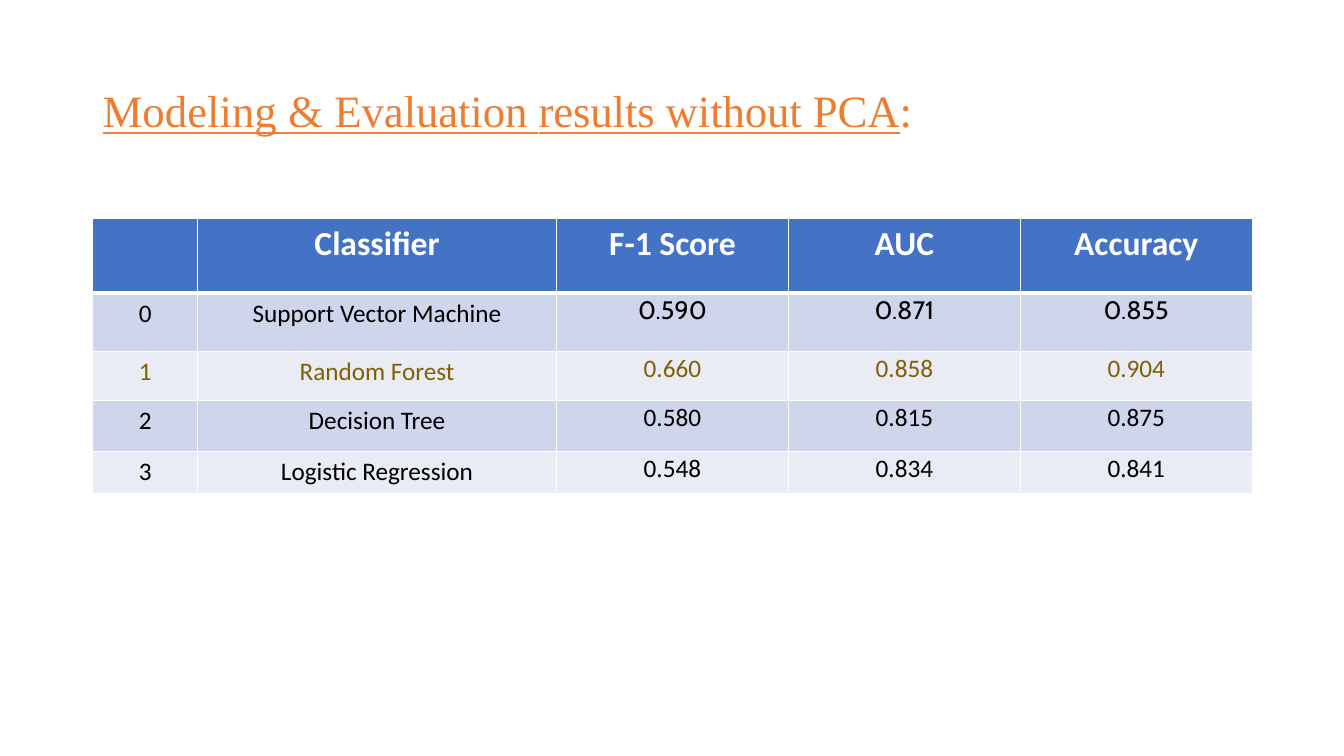
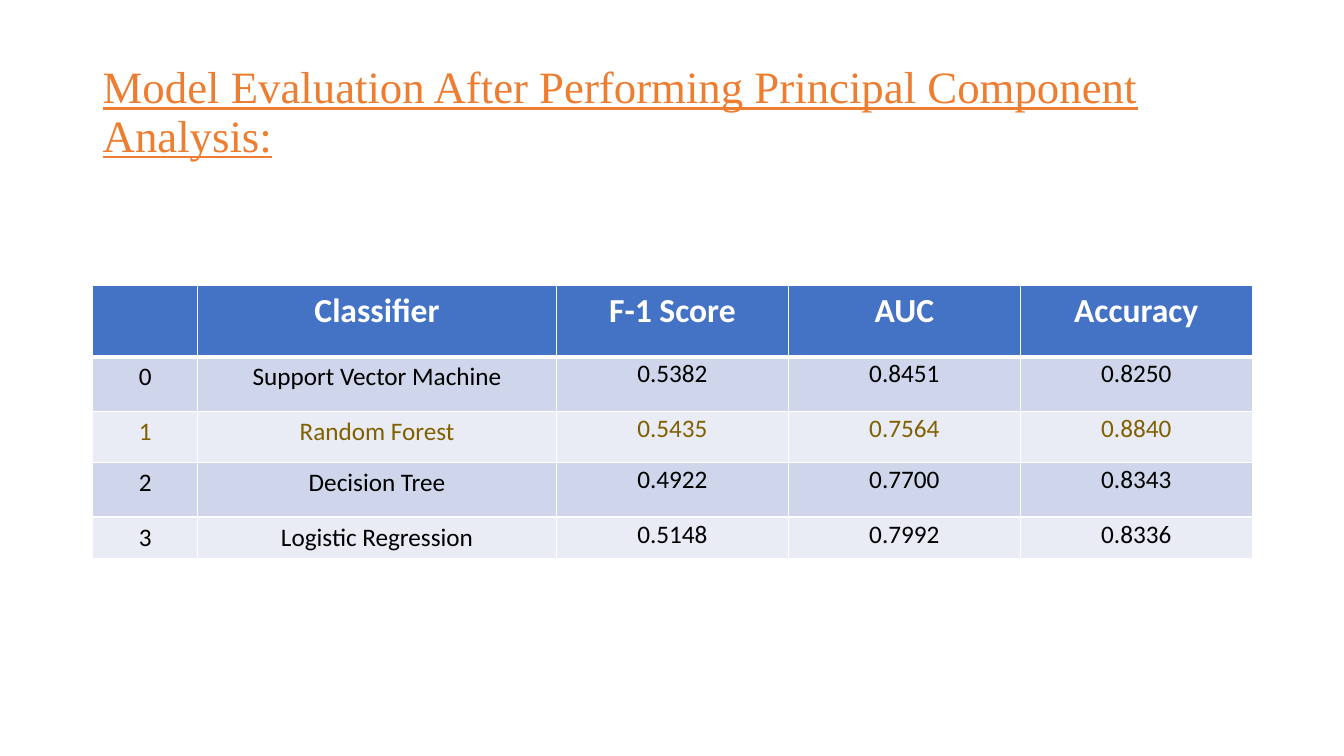
from lxml import etree
from pptx import Presentation
from pptx.dml.color import RGBColor
from pptx.enum.text import MSO_ANCHOR, PP_ALIGN
from pptx.oxml.ns import qn
from pptx.util import Inches, Pt

CENTER = PP_ALIGN.CENTER
MIDDLE = MSO_ANCHOR.MIDDLE

ORANGE = RGBColor(0xED, 0x7D, 0x31)
BLUE = RGBColor(0x44, 0x72, 0xC4)
BANDS = [RGBColor(0xCF, 0xD5, 0xEA), RGBColor(0xE9, 0xEB, 0xF5)]
OLIVE = RGBColor(0x80, 0x60, 0x00)
BLACK = RGBColor(0, 0, 0)
WHITE = RGBColor(0xFF, 0xFF, 0xFF)

TITLE_FONT, TABLE_FONT = "Times New Roman", "Calibri"
LEFT, WIDTH = 0.92, 11.5
TITLE_TOP, TITLE_HEIGHT = 0.4, 1.45
COLUMN_WIDTHS = [1.04, 3.56, 2.3, 2.3, 2.3]

HEADER = ["", "Classifier", "F-1 Score", "AUC", "Accuracy"]
CLASSIFIERS = ["Support Vector Machine", "Random Forest", "Decision Tree", "Logistic Regression"]
HIGHLIGHTED = "Random Forest"

# Title spans are (text, underlined, letter spacing in points).
SLIDES = [
    {
        "title": [
            ("Modeling & ", True, 0),
            ("Evaluation", True, -0.1),
            (" ", True, -1.1),
            ("results without PCA", True, -0.1),
            (":", False, -0.1),
        ],
        "table_top": 2.17,
        "row_heights": [0.74, 0.58, 0.48, 0.51, 0.42],
        "scores": [
            ("0.590", "0.871", "0.855"),
            ("0.660", "0.858", "0.904"),
            ("0.580", "0.815", "0.875"),
            ("0.548", "0.834", "0.841"),
        ],
        "score_fonts": {"Support Vector Machine": "Cabin"},
    },
    {
        "title": [("Model Evaluation After Performing Principal Component Analysis:", True, 0)],
        "table_top": 2.83,
        "row_heights": [0.71, 0.54, 0.51, 0.54, 0.41],
        "scores": [
            ("0.5382", "0.8451", "0.8250"),
            ("0.5435", "0.7564", "0.8840"),
            ("0.4922", "0.7700", "0.8343"),
            ("0.5148", "0.7992", "0.8336"),
        ],
        "score_fonts": {},
    },
]


def add_span(para, text, font, size, color, bold=False):
    span = para.add_run()
    span.text = text
    span.font.name = font
    span.font.size = Pt(size)
    span.font.color.rgb = color
    span.font.bold = bold
    return span


def add_title(page, spans):
    box = page.shapes.add_textbox(
        Inches(LEFT), Inches(TITLE_TOP), Inches(WIDTH), Inches(TITLE_HEIGHT))
    frame = box.text_frame
    frame.word_wrap = True
    frame.vertical_anchor = MIDDLE
    para = frame.paragraphs[0]
    para.line_spacing = 0.9
    for text, underlined, spacing in spans:
        span = add_span(para, text, TITLE_FONT, 32, ORANGE)
        span.font.underline = underlined
        if spacing:
            span._r.get_or_add_rPr().set("spc", str(round(spacing * 100)))


def set_borders(cell, top, bottom):
    """Draw white borders; top and bottom are widths in points. Call before filling."""
    properties = cell._tc.get_or_add_tcPr()
    for side, width in (("L", 1), ("R", 1), ("T", top), ("B", bottom)):
        line = etree.SubElement(properties, qn(f"a:ln{side}"), w=str(Pt(width)))
        fill = etree.SubElement(line, qn("a:solidFill"))
        etree.SubElement(fill, qn("a:srgbClr"), val=str(WHITE))


def fill_cell(cell, fill, top=1, bottom=1):
    set_borders(cell, top, bottom)
    cell.fill.solid()
    cell.fill.fore_color.rgb = fill
    para = cell.text_frame.paragraphs[0]
    para.alignment = CENTER
    return para


def add_results_table(page, top, row_heights, scores, score_fonts):
    table = page.shapes.add_table(
        len(row_heights), len(COLUMN_WIDTHS), Inches(LEFT), Inches(top),
        Inches(WIDTH), Inches(sum(row_heights))).table
    for column, width in zip(table.columns, COLUMN_WIDTHS):
        column.width = Inches(width)
    for row, height in zip(table.rows, row_heights):
        row.height = Inches(height)

    for cell, label in zip(table.rows[0].cells, HEADER):
        para = fill_cell(cell, BLUE, bottom=3)
        if label:
            add_span(para, label, TABLE_FONT, 24, WHITE, bold=True)

    for index, (classifier, values) in enumerate(zip(CLASSIFIERS, scores)):
        color = OLIVE if classifier == HIGHLIGHTED else BLACK
        texts = [str(index), classifier, *values]
        for column, text in enumerate(texts):
            cell = table.cell(index + 1, column)
            para = fill_cell(cell, BANDS[index % 2], top=1 if index else 3)
            font = TABLE_FONT
            if column >= 2:
                cell.margin_left = cell.margin_right = Inches(0.07)
                cell.margin_top = cell.margin_bottom = 0
                para.line_spacing = 1.07
                font = score_fonts.get(classifier, TABLE_FONT)
            add_span(para, text, font, 18, color)


def main():
    deck = Presentation()
    deck.slide_width = Inches(13.33)
    deck.slide_height = Inches(7.5)
    for content in SLIDES:
        page = deck.slides.add_slide(deck.slide_layouts[6])
        add_title(page, content["title"])
        add_results_table(page, content["table_top"], content["row_heights"],
                          content["scores"], content["score_fonts"])
    deck.save("out.pptx")


if __name__ == "__main__":
    main()
